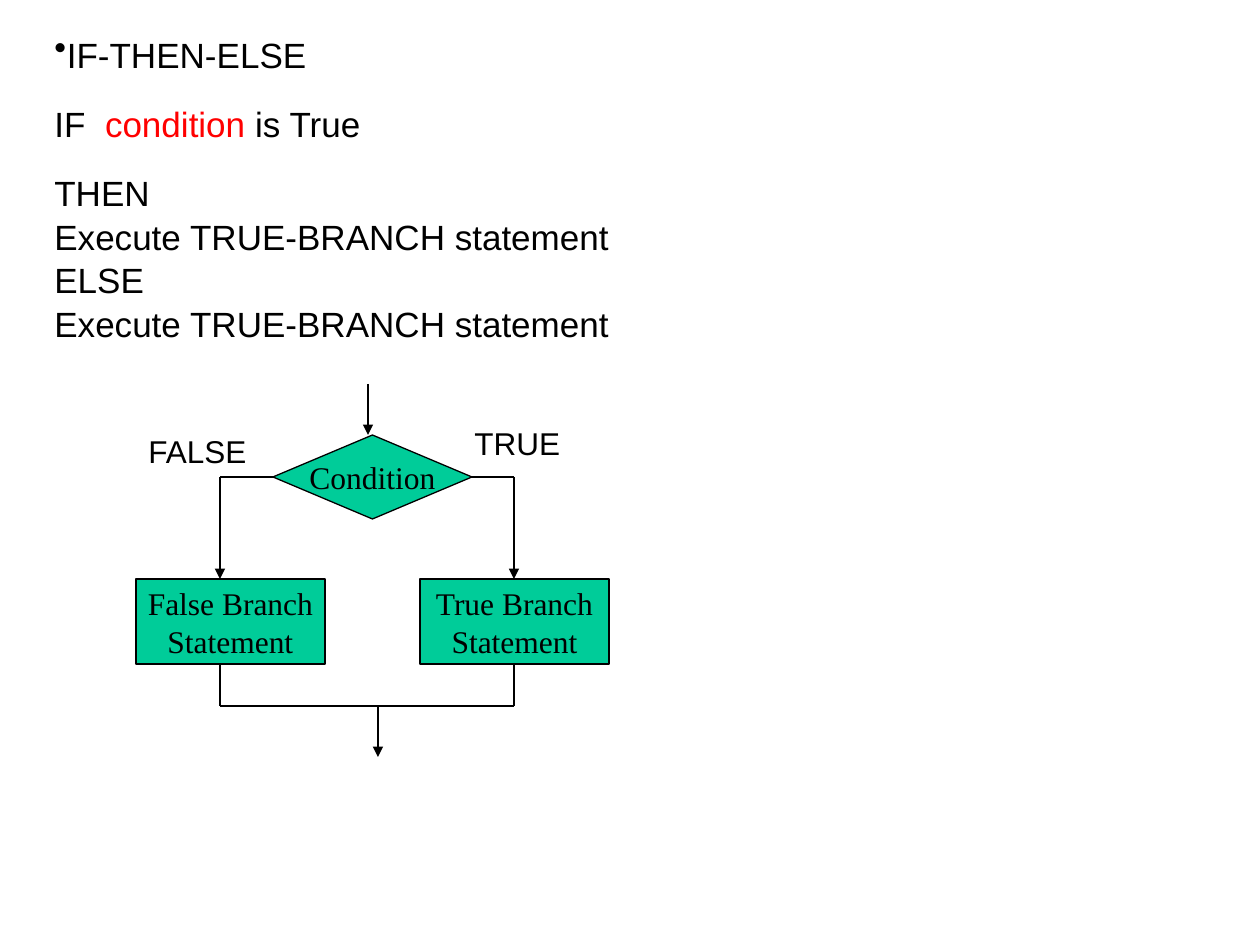
from lxml import etree
from pptx import Presentation
from pptx.dml.color import RGBColor
from pptx.enum.shapes import MSO_CONNECTOR, MSO_SHAPE
from pptx.enum.text import MSO_ANCHOR, PP_ALIGN
from pptx.oxml.ns import qn
from pptx.util import Emu, Pt

PX = 914400 // 126
STRAIGHT = MSO_CONNECTOR.STRAIGHT
DECISION = MSO_SHAPE.FLOWCHART_DECISION
RECTANGLE = MSO_SHAPE.RECTANGLE
MIDDLE = MSO_ANCHOR.MIDDLE
CENTER, LEFT_ALIGN = PP_ALIGN.CENTER, PP_ALIGN.LEFT
LEFT_SIDE, RIGHT_SIDE = 1, 3
BLANK_LAYOUT = 6

COLORS = {"text": "000000", "accent": "FF0000", "node": "00CC99", "line": "000000"}
BODY = {"name": "Arial", "size": Pt(20)}
LABEL = {"name": "Arial", "size": Pt(18)}
NODE = {"name": "Times New Roman", "size": Pt(18)}

# Each line: space before in points, then its (text, colour) spans
PSEUDOCODE = [
    (0, [("IF-THEN-ELSE", "text")]),
    (25, [("IF  ", "text"), ("condition", "accent"), (" is True", "text")]),
    (25, [("THEN", "text")]),
    (10.6, [("Execute TRUE-BRANCH statement", "text")]),
    (10.6, [("ELSE", "text")]),
    (10.6, [("Execute TRUE-BRANCH statement", "text")]),
]


def px(*lengths):
    return [Emu(length * PX) for length in lengths]


def color(name):
    return RGBColor.from_string(COLORS[name])


def add_span(para, text, font, color_name="text"):
    span = para.add_run()
    span.text = text
    for key, value in font.items():
        setattr(span.font, key, value)
    span.font.color.rgb = color(color_name)


def write_lines(frame, lines, font, align):
    for index, text in enumerate(lines):
        para = frame.add_paragraph() if index else frame.paragraphs[0]
        para.alignment = align
        add_span(para, text, font)


def add_bullet(para):
    properties = para._p.get_or_add_pPr()
    properties.set("marL", "0")
    properties.set("indent", "0")
    etree.SubElement(properties, qn("a:buChar")).set("char", "•")


def add_pseudocode(page, left, top, width, height):
    frame = page.shapes.add_textbox(*px(left, top, width, height)).text_frame
    frame.word_wrap = True
    for index, (gap, spans) in enumerate(PSEUDOCODE):
        para = frame.add_paragraph() if index else frame.paragraphs[0]
        para.line_spacing = 0.6
        para.space_before = Pt(gap)
        for text, color_name in spans:
            add_span(para, text, BODY, color_name)
    add_bullet(frame.paragraphs[0])


def add_node(shapes, kind, box, lines):
    node = shapes.add_shape(kind, *px(*box))
    node.shadow.inherit = False
    node.fill.solid()
    node.fill.fore_color.rgb = color("node")
    node.line.color.rgb = color("line")
    node.line.width = Pt(0.75)
    node.text_frame.word_wrap = False
    node.text_frame.vertical_anchor = MIDDLE
    write_lines(node.text_frame, lines, NODE, CENTER)
    return node


def add_line(shapes, start, end, arrow=False):
    line = shapes.add_connector(STRAIGHT, *px(*start, *end))
    line.line.color.rgb = color("line")
    line.line.width = Pt(0.75)
    if arrow:
        etree.SubElement(line.line._get_or_add_ln(), qn("a:tailEnd")).set("type", "triangle")
    etree.SubElement(line._element.spPr, qn("a:effectLst"))
    return line


def add_label(shapes, left, top, text):
    frame = shapes.add_textbox(*px(left, top, 136, 40)).text_frame
    frame.word_wrap = True
    write_lines(frame, [text], LABEL, LEFT_ALIGN)


def add_flowchart(page, left, top):
    shapes = page.shapes.add_group_shape().shapes
    decision_top, branch_top, merge_y = top + 51, top + 195, top + 322
    side_y, branch_bottom = top + 93, branch_top + 85
    false_x, true_x = left + 84, left + 378

    # Decision and the arrow into it
    decision = add_node(shapes, DECISION, (left + 137, decision_top, 199, 84), ["Condition"])
    add_line(shapes, (left + 232, top), (left + 232, decision_top), arrow=True)

    # Both branches, from the decision down to the merge line
    branches = [
        ("False", left, false_x, LEFT_SIDE, left + 137),
        ("True", left + 284, true_x, RIGHT_SIDE, left + 336),
    ]
    for name, box_left, line_x, side, corner_x in branches:
        add_node(shapes, RECTANGLE, (box_left, branch_top, 189, 85),
                 [f"{name} Branch", "Statement"])
        exit_line = add_line(shapes, (corner_x, side_y), (line_x, side_y))
        exit_line.begin_connect(decision, side)
        add_line(shapes, (line_x, side_y), (line_x, branch_top), arrow=True)
        add_line(shapes, (line_x, branch_bottom), (line_x, merge_y))

    # Merge line and the arrow out
    add_line(shapes, (false_x, merge_y), (true_x, merge_y))
    add_line(shapes, (left + 242, merge_y), (left + 242, top + 373), arrow=True)

    # Branch labels
    add_label(shapes, left + 326, top + 34, "TRUE")
    add_label(shapes, left, top + 42, "FALSE")


def main():
    deck = Presentation()
    deck.slide_width, deck.slide_height = px(1260, 945)
    page = deck.slides.add_slide(deck.slide_layouts[BLANK_LAYOUT])
    add_pseudocode(page, 42, 42, 609, 271)
    add_flowchart(page, 136, 384)
    deck.save("out.pptx")


if __name__ == "__main__":
    main()
